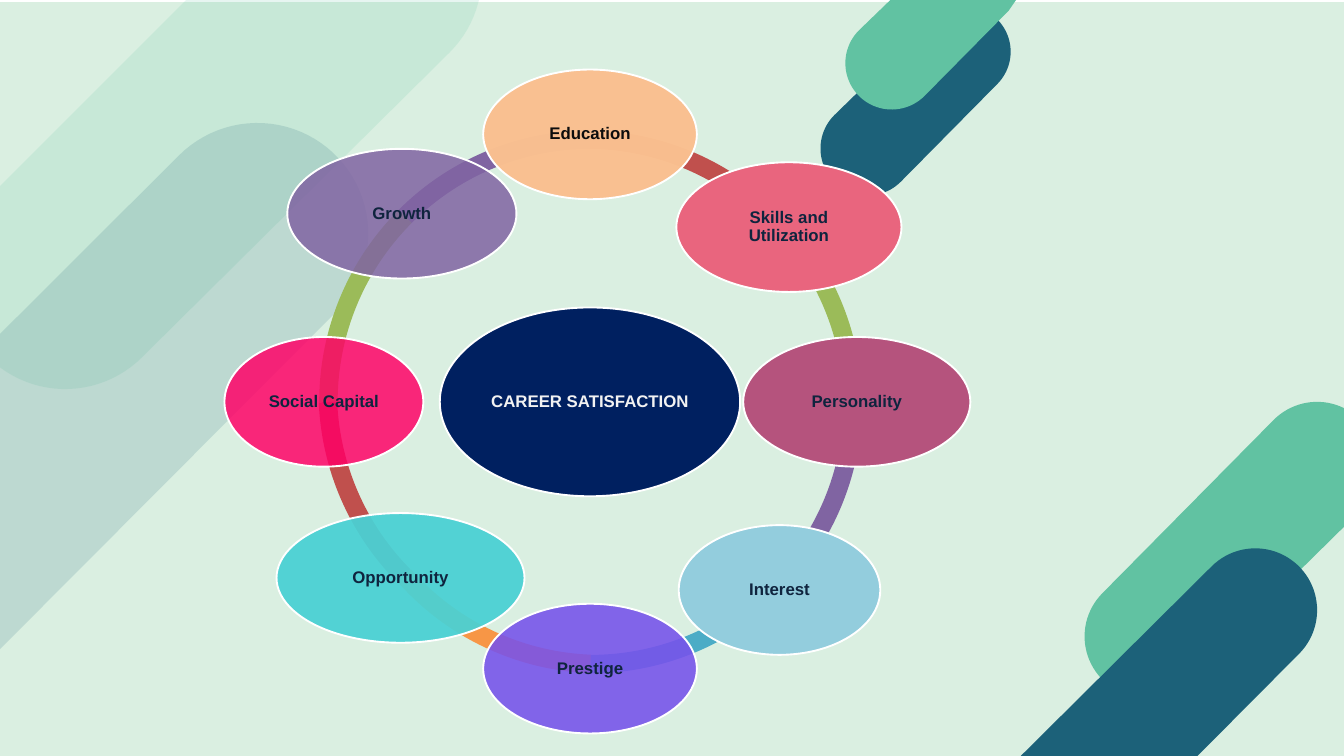
import math
from dataclasses import dataclass
import pptx
import pptx.util
import pptx.dml.color
import pptx.enum.shapes
import pptx.enum.text
import pptx.oxml.ns
import lxml.etree

Inches = pptx.util.Inches
Pt = pptx.util.Pt
KIND = pptx.enum.shapes.MSO_SHAPE


@dataclass
class Theme:
    font: str = "Arial"
    size: int = 18
    edge: int = 2
    back: str = "DAEFE1"
    white: str = "FFFFFF"
    mint: str = "61C2A2"
    teal: str = "1C6179"
    ink: str = "0F243E"
    black: str = "0D0D0D"
    pale: str = "F2F2F2"
    navy: str = "002060"
    violet: str = "8064A2"
    green: str = "9BBB59"
    red: str = "C0504D"
    orange: str = "F79646"
    blue: str = "4BACC6"


look = Theme()

# Each pill: colour, opacity, then corners (x, y) and arcs (x, y, radius, start, end)
pills = [
    (look.mint, 100, [(20, 7.84), (17.05, 9.47, 0.91, 45, 225), (19.6, 6.89, 0.91, 225, 296)]),
    (look.teal, 100, [(17.82, 11.25), (15.19, 11.25), (18.68, 9.08, 0.92, 225, 405)]),
    (look.teal, 100, [(12.91, 2.21, 0.7, 45, 225), (14.36, 0.77, 0.68, 225, 405)]),
    (look.mint, 100, [(15.01, 0.16), (13.27, 0.94, 0.69, 45, 225), (13.25, 0), (15.12, 0)]),
    (look.mint, 15, [(0.97, 4.17, 1.62, 45, 127), (0, 2.77), (2.83, -0.06),
                     (5.55, -0.37, 1.62, 11, 45)]),
    (look.teal, 15, [(0, 9.66), (0, 4.97), (3.83, 3.48, 1.65, 225, 405)]),
]

arcs = [
    (4.75, 1.94, 134.95, 161.96, look.violet),
    (4.75, 1.94, 108, 135, look.green),
    (4.74, 1.78, 81.17, 106.57, look.red),
    (4.9, 1.94, 55.33, 83.16, look.orange),
    (4.75, 1.94, 27, 54, look.blue),
    (4.75, 1.94, 0, 27, look.violet),
    (4.75, 2, 190.73, 215.53, look.green),
    (4.69, 1.94, 162.45, 191.42, look.red),
]
ring = 8.08
thick = 0.034

tall = 1.93
nodes = [
    ("CAREER SATISFACTION", 8.78, 5.98, 4.47, 2.81, look.navy, 100, look.pale),
    ("Education", 8.78, 2, 3.18, tall, "FAC090", 98, look.black),
    ("Skills and Utilization", 11.74, 3.38, 3.35, tall, "E9657E", 100, look.ink),
    ("Personality", 12.75, 5.98, 3.38, tall, "B5537D", 100, look.ink),
    ("Interest", 11.6, 8.78, 3, tall, "93CDDD", 100, look.ink),
    ("Prestige", 8.78, 9.95, 3.18, tall, "7753EB", 89, look.ink),
    ("Opportunity", 5.96, 8.6, 3.69, tall, "4AD1D4", 94, look.ink),
    ("Social Capital", 4.82, 5.98, 2.96, tall, "FF0066", 84, look.ink),
    ("Growth", 5.98, 3.18, 3.41, tall, look.violet, 85, look.ink),
]


def rgb(code):
    return pptx.dml.color.RGBColor.from_string(code)


def paint(shape, code, alpha=100):
    shape.shadow.inherit = False
    shape.fill.solid()
    shape.fill.fore_color.rgb = rgb(code)
    shape.line.fill.background()
    if alpha < 100:
        tone = shape.fill._xPr.find(".//" + pptx.oxml.ns.qn("a:srgbClr"))
        lxml.etree.SubElement(tone, pptx.oxml.ns.qn("a:alpha"), val=str(alpha * 1000))


def trace(parts):
    spots = []
    for part in parts:
        if len(part) == 2:
            spots.append(part)
            continue
        x, y, r, start, end = part
        steps = math.ceil((end - start) / 4)
        for i in range(steps + 1):
            turn = math.radians(start + (end - start) * i / steps)
            spots.append((x + r * math.cos(turn), y + r * math.sin(turn)))
    return [(Inches(x), Inches(y)) for x, y in spots]


def add(kind, x, y, w, h):
    return slide.shapes.add_shape(kind, Inches(x), Inches(y), Inches(w), Inches(h))


deck = pptx.Presentation()
deck.slide_width = Inches(20)
deck.slide_height = Inches(11.25)
slide = deck.slides.add_slide(deck.slide_layouts[6])

paint(add(KIND.RECTANGLE, 0, 0.03, 20, 11.22), look.back)

for code, alpha, parts in pills:
    spots = trace(parts)
    pen = slide.shapes.build_freeform(*spots[0])
    pen.add_line_segments(spots[1:], close=True)
    paint(pen.convert_to_shape(), code, alpha)

for x, y, start, end, code in arcs:
    arc = add(KIND.BLOCK_ARC, x, y, ring, ring)
    for i, value in enumerate((start, end, thick)):
        arc.adjustments[i] = value
    paint(arc, code)

for label, x, y, w, h, code, alpha, ink in nodes:
    node = add(KIND.OVAL, x - w / 2, y - h / 2, w, h)
    paint(node, code, alpha)
    node.line.color.rgb = rgb(look.white)
    node.line.width = Pt(look.edge)
    frame = node.text_frame
    frame.word_wrap = True
    frame.vertical_anchor = pptx.enum.text.MSO_ANCHOR.MIDDLE
    frame.margin_left = frame.margin_right = Inches(0.03)
    frame.margin_top = frame.margin_bottom = Inches(0.03)
    para = frame.paragraphs[0]
    para.alignment = pptx.enum.text.PP_ALIGN.CENTER
    para.line_spacing = 0.9
    run = para.add_run()
    run.text = label
    run.font.name = look.font
    run.font.size = Pt(look.size)
    run.font.bold = True
    run.font.color.rgb = rgb(ink)

deck.save("out.pptx")
